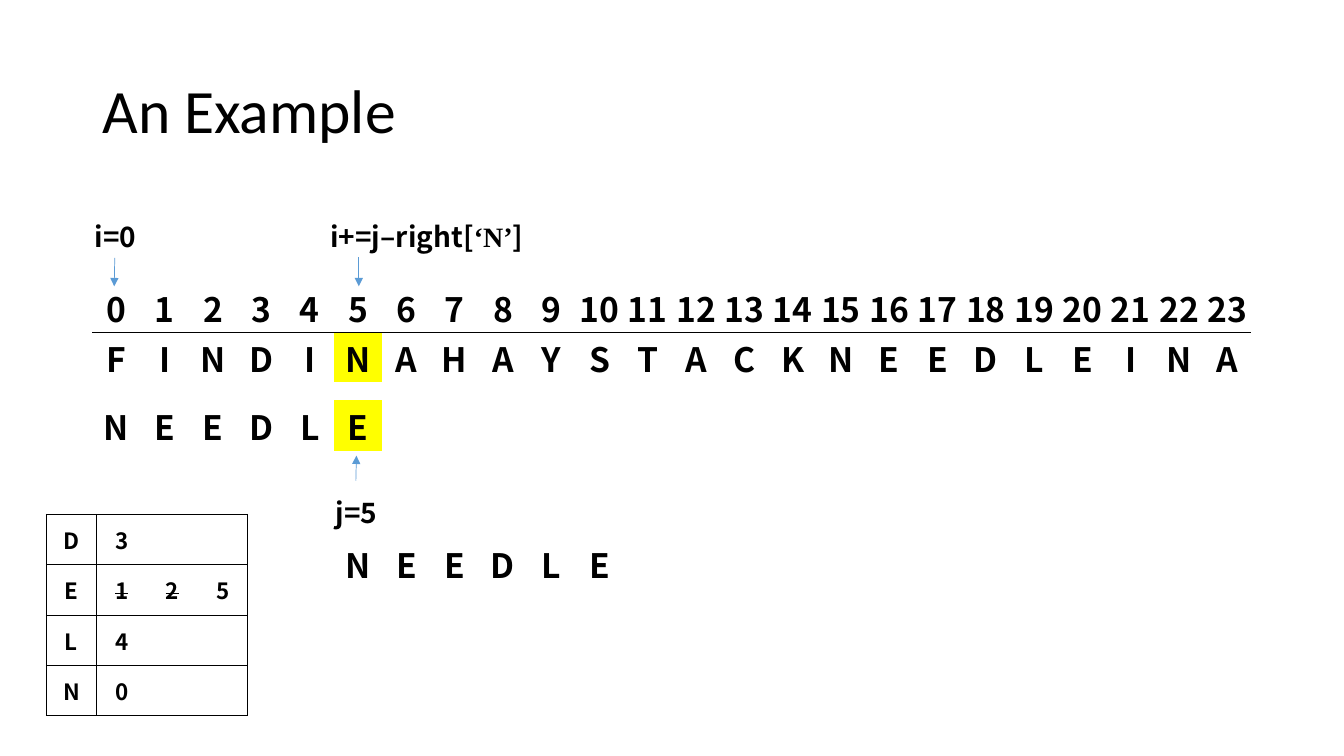
from lxml.etree import SubElement
from pptx import Presentation
from pptx.dml.color import RGBColor
from pptx.enum.shapes import MSO_CONNECTOR
from pptx.enum.text import MSO_ANCHOR, PP_ALIGN
from pptx.oxml import parse_xml
from pptx.oxml.ns import nsdecls, qn
from pptx.util import Pt

# Content
TITLE = "An Example"
TEXT = "FINDINAHAYSTACKNEEDLEINA"
WORD = "NEEDLE"
RIGHT = [
    ["D", "3", "", ""],
    ["E", "1", "2", "5"],
    ["L", "4", "", ""],
    ["N", "0", "", ""],
]
STRUCK = {(1, 1), (1, 2)}
SANS, SERIF = "Noto Sans CJK SC", "Times New Roman"
SHIFT = [("i+=j–right[", SANS), ("‘N’", SERIF), ("]", SANS)]
# Labels: left, top, width, runs
LABELS = [
    (57, 149.8, 51, [("i=0", SANS)]),
    (229, 347, 51, [("j=5", SANS)]),
    (198.7, 149.8, 212.4, SHIFT),
]
# Arrows: start x, start y, end x, end y
ARROWS = [
    (254.2, 343.4, 254.6, 325.5),
    (82, 184.3, 81.6, 204.5),
    (256.3, 183.6, 256.3, 204.5),
]
BLACK, BLUE, YELLOW = "000000", "5B9BD5", "FFFF00"
LEFT, STEP, HIT = 66, 34.5, 5


def color(code):
    return RGBColor.from_string(code)


def add_run(para, text, size, font=SANS, bold=True):
    run = para.add_run()
    run.text = text
    run.font.size, run.font.name, run.font.bold = Pt(size), font, bold
    run.font.color.rgb = color(BLACK)
    return run


def set_edges(cell, sides):
    props = cell._tc.get_or_add_tcPr()
    for pos, side in enumerate("LRTB"):
        paint = (f'<a:solidFill><a:srgbClr val="{BLACK}"/></a:solidFill>'
                 if side in sides else "<a:noFill/>")
        props.insert(pos, parse_xml(
            f'<a:ln{side} {nsdecls("a")} w="{Pt(0.5)}">{paint}</a:ln{side}>'))


def add_grid(slide, rows, left, top, width, height, size,
             edges=lambda r, c: "", marks=(), struck=()):
    """Draw a table; a cell holds a string or a list of (text, font) runs."""
    count = len(rows[0])
    table = slide.shapes.add_table(
        len(rows), count, Pt(left), Pt(top),
        Pt(width * count), Pt(height * len(rows))).table
    table.first_row = table.horz_banding = False
    for col in table.columns:
        col.width = Pt(width)
    for r, row in enumerate(rows):
        table.rows[r].height = Pt(height)
        for c, item in enumerate(row):
            cell = table.cell(r, c)
            cell.vertical_anchor = MSO_ANCHOR.MIDDLE
            cell.margin_left = cell.margin_right = cell.margin_top = Pt(0.72)
            cell.margin_bottom = 0
            if (r, c) in marks:
                cell.fill.solid()
                cell.fill.fore_color.rgb = color(YELLOW)
            else:
                cell.fill.background()
            set_edges(cell, edges(r, c))
            para = cell.text_frame.paragraphs[0]
            para.alignment = PP_ALIGN.CENTER
            runs = [(item, SANS)] if isinstance(item, str) else item
            for text, font in runs:
                if text:
                    run = add_run(para, text, size, font)
                    if (r, c) in struck:
                        run.font._element.set("strike", "sngStrike")


def add_arrow(slide, x1, y1, x2, y2):
    line = slide.shapes.add_connector(
        MSO_CONNECTOR.STRAIGHT, Pt(x1), Pt(y1), Pt(x2), Pt(y2))
    line.line.color.rgb = color(BLUE)
    line.line.width = Pt(0.5)
    SubElement(line.line._get_or_add_ln(), qn("a:tailEnd"), type="triangle")
    SubElement(line._element.spPr, qn("a:effectLst"))


def list_edges(r, c):
    return ("LRTB", "LTB", "TB", "RTB")[c]


def main():
    deck = Presentation()
    deck.slide_width, deck.slide_height = Pt(960), Pt(540)
    slide = deck.slides.add_slide(deck.slide_layouts[5])

    # Title
    title = slide.shapes.title
    title.left, title.top = Pt(LEFT), Pt(28.8)
    title.width, title.height = Pt(828), Pt(104.4)
    title.text_frame.vertical_anchor = MSO_ANCHOR.MIDDLE
    para = title.text_frame.paragraphs[0]
    para.alignment, para.line_spacing = PP_ALIGN.LEFT, 0.9
    add_run(para, TITLE, 44, "Calibri", False)

    # Indexed text, with the word below it before and after the shift
    digits = [str(n) for n in range(len(TEXT))]
    add_grid(slide, [digits, list(TEXT)], LEFT, 201.6, STEP, 34.6, 24,
             lambda r, c: "BT"[r], {(1, HIT)})
    add_grid(slide, [list(WORD)], LEFT, 285.8, STEP, 36, 24,
             marks={(0, HIT)})
    add_grid(slide, [list(WORD)], LEFT + HIT * STEP, 384.5, STEP, 36, 24)

    # Rightmost positions
    add_grid(slide, RIGHT, 33, 367.2, 36, 36, 16, list_edges, struck=STRUCK)

    # Labels and arrows
    for left, top, width, runs in LABELS:
        add_grid(slide, [[runs]], left, top, width, 36, 20)
    for ends in ARROWS:
        add_arrow(slide, *ends)

    deck.save("out.pptx")


if __name__ == "__main__":
    main()
